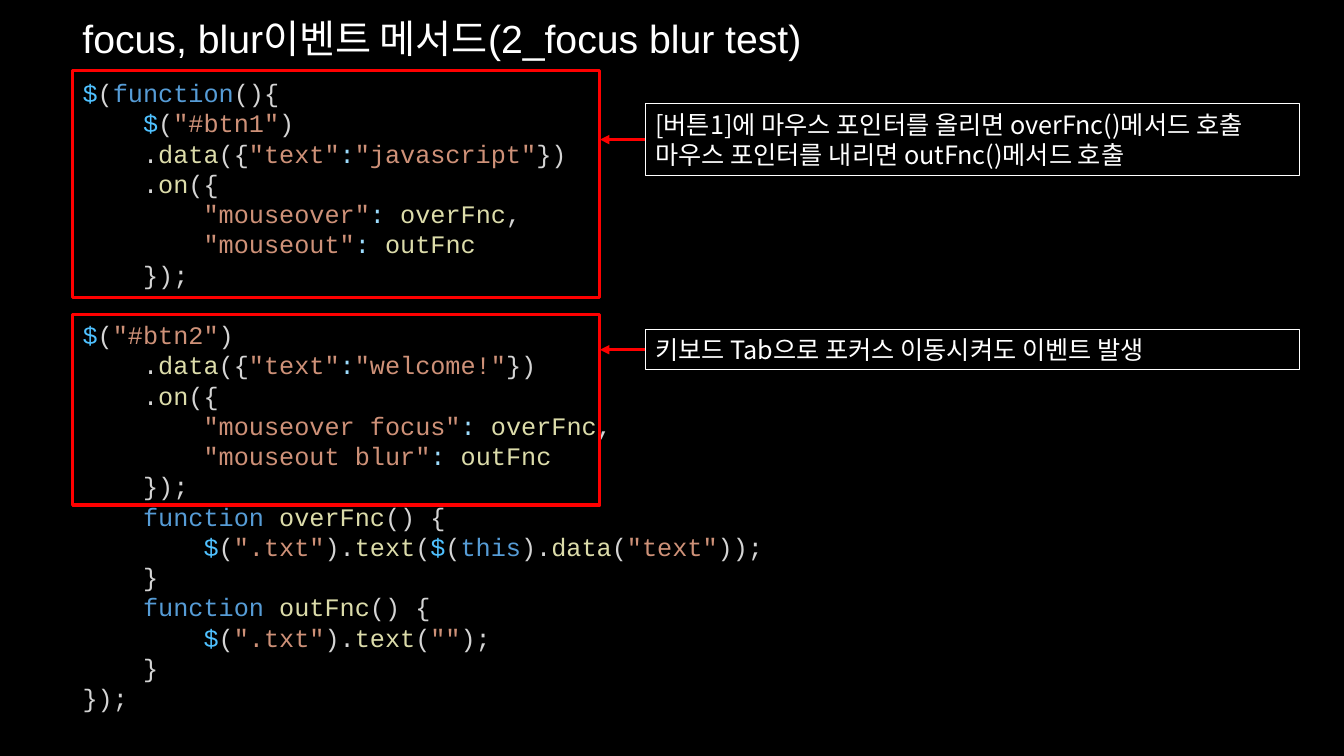
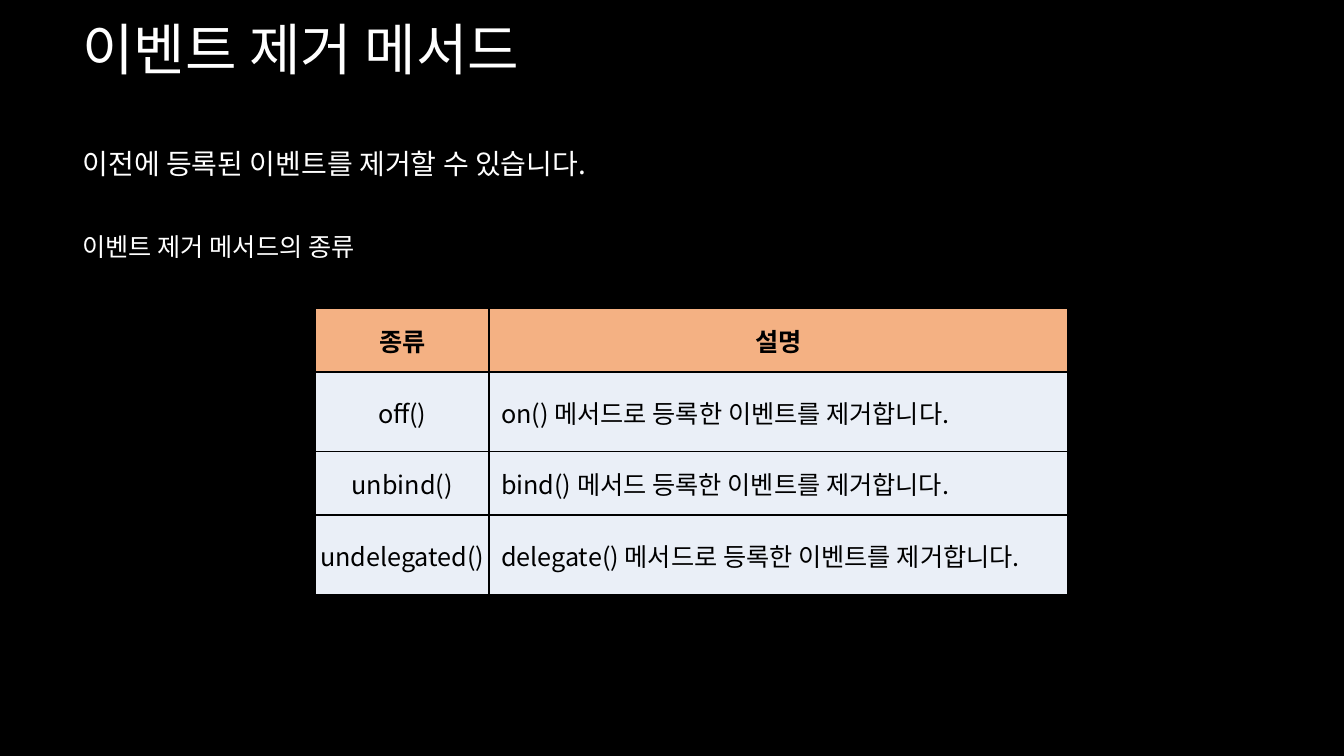
"""Build two slides on focus and blur events and on removing event handlers."""
from lxml import etree
from pptx import Presentation
from pptx import util as u
from pptx.dml.color import RGBColor
from pptx.enum import shapes, text
from pptx.oxml import ns

BLACK = RGBColor(0x00, 0x00, 0x00)
WHITE = RGBColor(0xFF, 0xFF, 0xFF)
RED = RGBColor(0xFF, 0x00, 0x00)
HEADER_FILL = RGBColor(0xF4, 0xB1, 0x83)
BODY_FILL = RGBColor(0xEA, 0xEF, 0xF7)
PLAIN = RGBColor(0xD4, 0xD4, 0xD4)
KEYWORD = RGBColor(0x56, 0x9C, 0xD6)
DOLLAR = RGBColor(0x4F, 0xC1, 0xFF)
STRING = RGBColor(0xCE, 0x91, 0x78)
METHOD = RGBColor(0xDC, 0xDC, 0xAA)
COLON = RGBColor(0x9C, 0xDC, 0xFE)

TITLE_FONT = "Arial"
BODY_FONT = "Noto Sans CJK KR"
CODE_FONT = "Courier New"
LEFT = 0.72
CODE_LINE = 21.6
CODE_INDENT = 0.6


def add_run(paragraph, words, size, color, font=BODY_FONT, bold=False):
    run = paragraph.add_run()
    run.text = words
    run.font.size = u.Pt(size)
    run.font.name = font
    run.font.bold = bold
    run.font.color.rgb = color


def add_text(slide, top, width, height, words, size, font=BODY_FONT, spacing=None):
    box = slide.shapes.add_textbox(u.Inches(LEFT), u.Inches(top), u.Inches(width), u.Inches(height))
    box.text_frame.word_wrap = True
    paragraph = box.text_frame.paragraphs[0]
    paragraph.line_spacing = spacing
    if words:
        add_run(paragraph, words, size, WHITE, font)
    return box.text_frame


presentation = Presentation()
presentation.slide_width = u.Inches(13.33)
presentation.slide_height = u.Inches(7.5)
background = presentation.slide_master.background.fill
background.solid()
background.fore_color.rgb = BLACK
blank = presentation.slide_layouts[6]

slide = presentation.slides.add_slide(blank)
code_lines = [
    (0, [("$", DOLLAR), ("(", PLAIN), ("function", KEYWORD), ("(){", PLAIN)]),
    (1, [("$", DOLLAR), ("(", PLAIN), ('"#btn1"', STRING), (")", PLAIN)]),
    (1, [(".", PLAIN), ("data", METHOD), ("({", PLAIN), ('"text"', STRING), (":", COLON),
         ('"javascript"', STRING), ("})", PLAIN)]),
    (1, [(".", PLAIN), ("on", METHOD), ("({", PLAIN)]),
    (2, [('"mouseover"', STRING), (": ", COLON), ("overFnc", METHOD), (",", PLAIN)]),
    (2, [('"mouseout"', STRING), (": ", COLON), ("outFnc", METHOD)]),
    (1, [("});", PLAIN)]),
    (0, [("$", DOLLAR), ("(", PLAIN), ('"#btn2"', STRING), (")", PLAIN)]),
    (1, [(".", PLAIN), ("data", METHOD), ("({", PLAIN), ('"text"', STRING), (":", COLON),
         ('"welcome!"', STRING), ("})", PLAIN)]),
    (1, [(".", PLAIN), ("on", METHOD), ("({", PLAIN)]),
    (2, [('"mouseover focus"', STRING), (": ", COLON), ("overFnc", METHOD), (",", PLAIN)]),
    (2, [('"mouseout blur"', STRING), (": ", COLON), ("outFnc", METHOD)]),
    (1, [("});", PLAIN)]),
    (1, [("function ", KEYWORD), ("overFnc", METHOD), ("() {", PLAIN)]),
    (2, [("$", DOLLAR), ("(", PLAIN), ('".txt"', STRING), (").", PLAIN), ("text", METHOD),
         ("(", PLAIN), ("$", DOLLAR), ("(", PLAIN), ("this", KEYWORD), (").", PLAIN),
         ("data", METHOD), ("(", PLAIN), ('"text"', STRING), ("));", PLAIN)]),
    (1, [("}", PLAIN)]),
    (1, [("function ", KEYWORD), ("outFnc", METHOD), ("() {", PLAIN)]),
    (2, [("$", DOLLAR), ("(", PLAIN), ('".txt"', STRING), (").", PLAIN), ("text", METHOD),
         ("(", PLAIN), ('""', STRING), (");", PLAIN)]),
    (1, [("}", PLAIN)]),
    (0, [("});", PLAIN)]),
]
first_block_end = 6
code = add_text(slide, 0.72, 8.89, 6.46, "", 18)
for number, (level, tokens) in enumerate(code_lines):
    paragraph = code.add_paragraph() if number else code.paragraphs[0]
    paragraph.line_spacing = u.Pt(CODE_LINE)
    paragraph.space_after = u.Pt(CODE_LINE if number == first_block_end else 0)
    properties = paragraph._p.get_or_add_pPr()
    properties.set("marL", str(u.Inches(level * CODE_INDENT)))
    properties.set("indent", "0")
    for words, color in tokens:
        add_run(paragraph, words, 18, color, CODE_FONT)

add_text(slide, 0.09, 11.86, 0.57, "focus, blur이벤트 메서드(2_focus blur test)", 28, TITLE_FONT)

explained_blocks = [
    (0.7, 2.25, 1.03, 0.71, ["[버튼1]에 마우스 포인터를 올리면 overFnc()메서드 호출",
                             "마우스 포인터를 내리면 outFnc()메서드 호출"]),
    (3.12, 1.89, 3.27, 0.4, ["키보드 Tab으로 포커스 이동시켜도 이벤트 발생"]),
]
frame_width, callout_left, callout_width = 5.23, 6.4, 6.49
for frame_top, frame_height, callout_top, callout_height, lines in explained_blocks:
    frame = slide.shapes.add_shape(
        shapes.MSO_SHAPE.RECTANGLE, u.Inches(LEFT), u.Inches(frame_top),
        u.Inches(frame_width), u.Inches(frame_height))
    callout = slide.shapes.add_shape(
        shapes.MSO_SHAPE.RECTANGLE, u.Inches(callout_left), u.Inches(callout_top),
        u.Inches(callout_width), u.Inches(callout_height))
    for shape, color, weight in ((frame, RED, 2.25), (callout, WHITE, 0.75)):
        shape.shadow.inherit = False
        shape.fill.background()
        shape.line.color.rgb = color
        shape.line.width = u.Pt(weight)
    callout.text_frame.word_wrap = True
    callout.text_frame.vertical_anchor = text.MSO_ANCHOR.MIDDLE
    for number, words in enumerate(lines):
        paragraph = callout.text_frame.add_paragraph() if number else callout.text_frame.paragraphs[0]
        paragraph.alignment = text.PP_ALIGN.LEFT
        add_run(paragraph, words, 18, WHITE)

    middle = u.Inches(callout_top + callout_height / 2)
    arrow = slide.shapes.add_connector(
        shapes.MSO_CONNECTOR.STRAIGHT, u.Inches(callout_left), middle,
        u.Inches(LEFT + frame_width), middle)
    arrow.begin_connect(callout, 1)
    arrow.line.color.rgb = RED
    arrow.line.width = u.Pt(2.25)
    etree.SubElement(arrow.line._get_or_add_ln(), ns.qn("a:tailEnd"), type="triangle")
    etree.SubElement(arrow._element.spPr, ns.qn("a:effectLst"))

slide = presentation.slides.add_slide(blank)
add_text(slide, 0.09, 9.02, 0.77, "이벤트 제거 메서드", 40, TITLE_FONT)
add_text(slide, 1.07, 12.27, 0.67, "이전에 등록된 이벤트를 제거할 수 있습니다.", 20, spacing=2.0)
add_text(slide, 1.95, 5.21, 0.61, "이벤트 제거 메서드의 종류", 18, spacing=2.0)

method_rows = [
    (0.63, ["종류", "설명"]),
    (0.79, ["off()", "on() 메서드로 등록한 이벤트를 제거합니다."]),
    (0.63, ["unbind()", "bind() 메서드 등록한 이벤트를 제거합니다."]),
    (0.79, ["undelegated()", "delegate() 메서드로 등록한 이벤트를 제거합니다."]),
]
column_widths = [1.72, 5.74]
table = slide.shapes.add_table(
    len(method_rows), len(column_widths), u.Inches(3.13), u.Inches(3.06),
    u.Inches(sum(column_widths)), u.Inches(sum(height for height, _ in method_rows))).table
for column, width in zip(table.columns, column_widths):
    column.width = u.Inches(width)
for row_number, (height, row_words) in enumerate(method_rows):
    table.rows[row_number].height = u.Inches(height)
    header = row_number == 0
    for column_number, words in enumerate(row_words):
        cell = table.cell(row_number, column_number)
        centered = header or column_number == 0
        cell.vertical_anchor = text.MSO_ANCHOR.MIDDLE
        cell.margin_left = u.Inches(0.01 if centered else 0.12)
        cell.margin_right = cell.margin_top = u.Inches(0.01)
        cell.margin_bottom = 0
        for side in ("lnL", "lnR", "lnT", "lnB"):
            border = etree.SubElement(cell._tc.get_or_add_tcPr(), ns.qn(f"a:{side}"), w=str(u.Pt(1)))
            fill = etree.SubElement(border, ns.qn("a:solidFill"))
            etree.SubElement(fill, ns.qn("a:srgbClr"), val=str(BLACK))
        cell.fill.solid()
        cell.fill.fore_color.rgb = HEADER_FILL if header else BODY_FILL
        paragraph = cell.text_frame.paragraphs[0]
        paragraph.alignment = text.PP_ALIGN.CENTER if centered else text.PP_ALIGN.LEFT
        add_run(paragraph, words, 18, BLACK, bold=header)

presentation.save("out.pptx")
